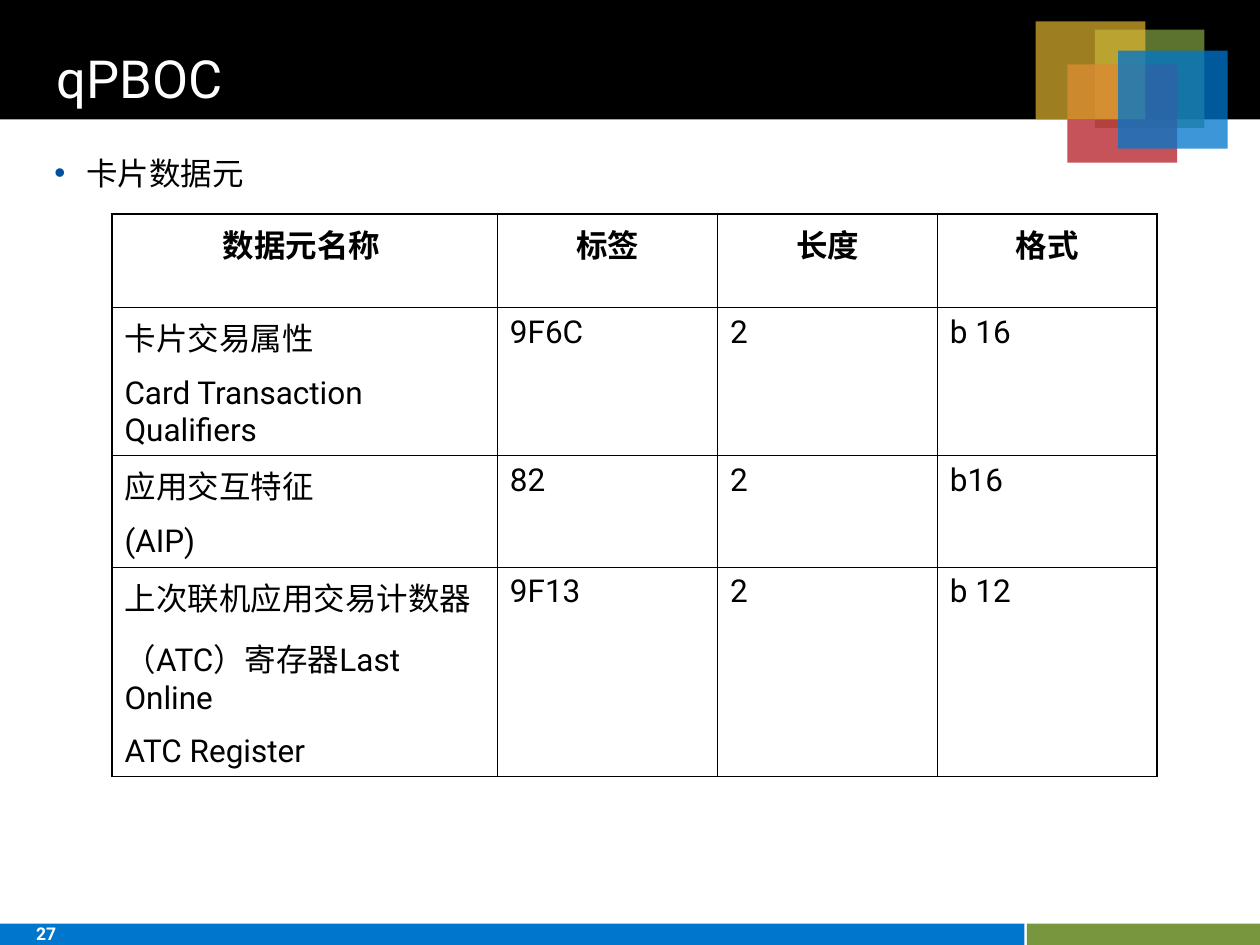
"""Build the qPBOC slide listing the card data elements in a table."""
from lxml.etree import SubElement
from pptx import Presentation
from pptx.dml.color import RGBColor
from pptx.enum.shapes import MSO_SHAPE as Shape
from pptx.enum.text import MSO_ANCHOR as Anchor, MSO_AUTO_SIZE as AutoSize, PP_ALIGN as Align
from pptx.oxml.ns import qn
from pptx.util import Cm, Pt


def color(value):
    return RGBColor.from_string(value)


def write(paragraph, text, size, ink="000000", bold=False, align=Align.LEFT, gap=4.5):
    paragraph.alignment = align
    paragraph.space_before = paragraph.space_after = Pt(gap)
    run = paragraph.add_run()
    run.text = text
    run.font.name = "Roboto"
    run.font.size = Pt(size)
    run.font.bold = bold
    run.font.color.rgb = color(ink)


prs = Presentation()
prs.slide_width, prs.slide_height = Cm(25.4), Cm(19.05)
slide = prs.slides.add_slide(prs.slide_layouts[1])

blocks = [
    (0, 0, 25.4, 2.41, "000000", 100),
    (0, 18.62, 20.65, 0.43, "0076CD", 100),
    (20.7, 18.62, 4.7, 0.43, "78963E", 100),
    (22.07, 0.6, 2.21, 1.98, "78963E", 77),
    (21.52, 1.3, 2.21, 1.98, "BA2A34", 81),
    (20.88, 0.43, 2.21, 1.98, "E8BA31", 68),
    (22.54, 1.02, 2.21, 1.98, "0076CD", 76),
]
for left, top, width, height, paint, opacity in blocks:
    block = slide.shapes.add_shape(Shape.RECTANGLE, Cm(left), Cm(top), Cm(width), Cm(height))
    block.shadow.inherit = False
    block.line.fill.background()
    block.fill.solid()
    block.fill.fore_color.rgb = color(paint)
    if opacity < 100:
        tint = block.element.spPr.find(qn("a:solidFill"))[0]
        SubElement(tint, qn("a:alpha"), val=str(opacity * 1000))

page_number = slide.shapes.add_textbox(Cm(0.48), Cm(18.49), Cm(2.11), Cm(0.76))
page_number.text_frame.word_wrap = True
write(page_number.text_frame.paragraphs[0], "27", 10, "FFFFFF", bold=True, gap=0)
page_number.text_frame.paragraphs[0].space_before = Pt(6.2)

title = slide.shapes.title
title.left, title.top, title.width, title.height = Cm(0.89), Cm(0.89), Cm(19.96), Cm(1.47)
title.text_frame.auto_size = AutoSize.NONE
title.text_frame.vertical_anchor = Anchor.BOTTOM
write(title.text_frame.paragraphs[0], "qPBOC", 30, "FFFFFF", gap=0)
title.text_frame.paragraphs[0].line_spacing = 0.95
title.element.getparent().append(title.element)

topic = slide.placeholders[1]
topic.left, topic.top, topic.width, topic.height = Cm(0.84), Cm(2.97), Cm(11.1), Cm(2.11)
topic.text_frame.auto_size = AutoSize.NONE
topic_line = topic.text_frame.paragraphs[0]
write(topic_line, "卡片数据元", 18)
bullet = topic_line._p.get_or_add_pPr()
bullet.set("marL", str(Cm(0.64)))
bullet.set("indent", str(-Cm(0.64)))
SubElement(SubElement(bullet, qn("a:buClr")), qn("a:srgbClr"), val="0050A0")
SubElement(bullet, qn("a:buChar"), char="•")

data_elements = [
    ("数据元名称 ", "标签", "长度", "格式"),
    ("卡片交易属性\nCard Transaction Qualifiers", "9F6C", "2", "b 16"),
    ("应用交互特征\n(AIP)", "82", "2", "b16"),
    ("上次联机应用交易计数器\n（ATC）寄存器Last Online\nATC Register", "9F13", "2", "b 12"),
]
column_widths = [7.77, 4.44, 4.43, 4.42]
row_heights = [1.88, 2.87, 2.11, 3.96]
last_row, last_column = len(row_heights) - 1, len(column_widths) - 1
table = slide.shapes.add_table(
    len(row_heights), len(column_widths), Cm(2.26), Cm(4.32), Cm(sum(column_widths)), Cm(sum(row_heights))
).table
table.first_row = table.horz_banding = False
for column, width in zip(table.columns, column_widths):
    column.width = Cm(width)
for row, height in zip(table.rows, row_heights):
    row.height = Cm(height)

for r, element in enumerate(data_elements):
    for c, content in enumerate(element):
        cell = table.cell(r, c)
        cell.margin_left = cell.margin_right = Cm(0.25)
        cell.margin_top = cell.margin_bottom = Cm(0.13)
        for i, line in enumerate(content.split("\n")):
            paragraph = cell.text_frame.add_paragraph() if i else cell.text_frame.paragraphs[0]
            write(paragraph, line, 18, bold=r == 0, align=Align.LEFT if r else Align.CENTER)
        outer_edges = {"L": c == 0, "R": c == last_column, "T": r == 0, "B": r == last_row}
        for side, outer in outer_edges.items():
            border = SubElement(cell._tc.get_or_add_tcPr(), qn(f"a:ln{side}"), w=str(Pt(1.08 if outer else 0.45)))
            SubElement(SubElement(border, qn("a:solidFill")), qn("a:srgbClr"), val="000000")
        cell.fill.background()

prs.save("out.pptx")
